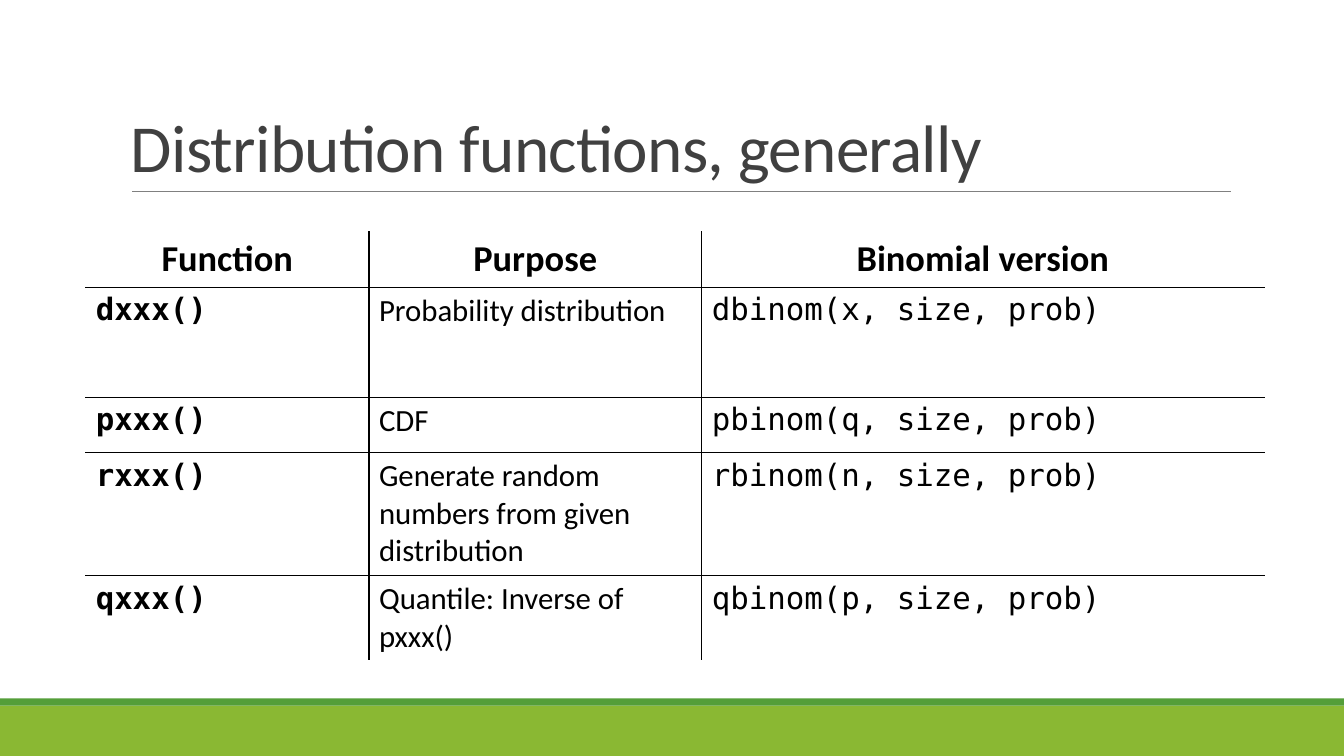
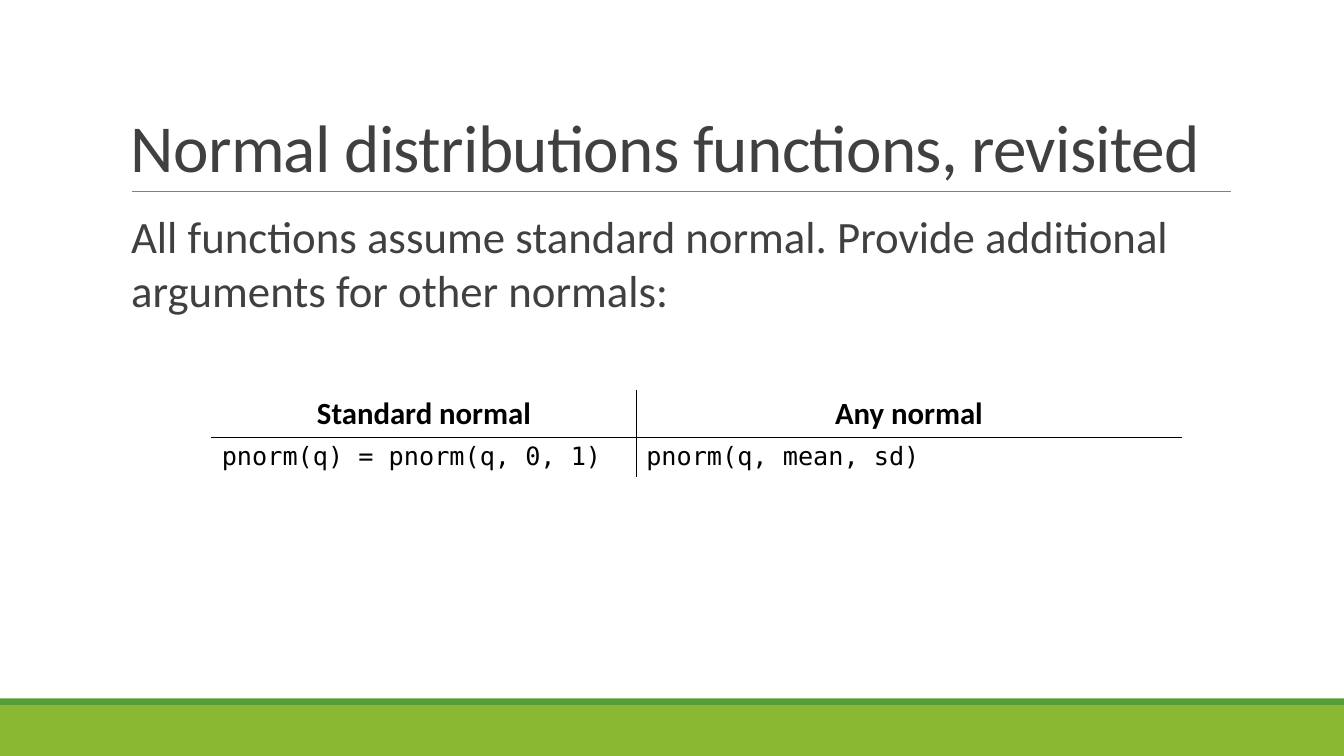
from lxml import etree
from pptx import Presentation
from pptx.dml.color import RGBColor
from pptx.enum import shapes, text
from pptx.oxml import ns
from pptx.util import Inches, Pt

SLIDE_WIDTH, SLIDE_HEIGHT = 13.33, 7.5
WHITE = RGBColor(0xFF, 0xFF, 0xFF)
BLACK = RGBColor(0x00, 0x00, 0x00)
CHARCOAL = RGBColor(0x40, 0x40, 0x40)
GRAY = RGBColor(0x80, 0x80, 0x80)
LIME = RGBColor(0x8A, 0xB8, 0x33)
GREEN = RGBColor(0x54, 0x9E, 0x39)

SANS, MONO = "Calibri", "DejaVu Sans Mono"
CENTER = text.PP_ALIGN.CENTER
TITLE_BOX = (1.2, 0.31, 11, 1.59)
BODY_BOX = (1.2, 2.02, 11, 1.3)


def sub(parent, tag, **attributes):
    return etree.SubElement(parent, ns.qn(tag), attributes)


def write(frame, words, size, color=BLACK, font=SANS, bold=False,
          align=None, line_spacing=None, tracking=None):
    """Fill the first paragraph of a text frame with one formatted run."""
    paragraph = frame.paragraphs[0]
    paragraph.alignment = align
    paragraph.line_spacing = line_spacing
    run = paragraph.add_run()
    run.text = words
    run.font.name, run.font.size, run.font.bold = font, Pt(size), bold
    run.font.color.rgb = color
    if tracking is not None:
        run.font._element.set("spc", str(round(tracking * 100)))
    return paragraph


def add_text(slide, box, words, anchor=text.MSO_ANCHOR.TOP, side_inset=0.1, **style):
    frame = slide.shapes.add_textbox(*map(Inches, box)).text_frame
    frame.word_wrap = True
    frame.vertical_anchor = anchor
    frame.margin_left = frame.margin_right = Inches(side_inset)
    return write(frame, words, **style)


def add_band(slide, top, height, color):
    band = slide.shapes.add_shape(shapes.MSO_SHAPE.RECTANGLE, 0, Inches(top),
                                  Inches(SLIDE_WIDTH), Inches(height))
    band.shadow.inherit = False
    band.fill.solid()
    band.fill.fore_color.rgb = color
    band.line.fill.background()


def add_title(slide, box, words):
    """Place the title at the foot of its box, above a thin rule."""
    left, top, width, height = box
    bottom = Inches(top + height)
    rule = slide.shapes.add_connector(shapes.MSO_CONNECTOR.STRAIGHT, Inches(left + 0.11),
                                      bottom, Inches(left + width + 0.01), bottom)
    rule.line.color.rgb = GRAY
    rule.line.width = Pt(0.5)
    sub(rule._element.spPr, "a:effectLst")
    add_text(slide, box, words, anchor=text.MSO_ANCHOR.BOTTOM, size=48,
             color=CHARCOAL, line_spacing=0.85, tracking=-0.5)


def start_slide(deck, title):
    slide = deck.slides.add_slide(deck.slide_layouts[6])
    add_band(slide, 7, 0.5, LIME)
    add_band(slide, 6.93, 0.07, GREEN)
    add_title(slide, TITLE_BOX, title)
    return slide


def add_body(slide, box, words):
    """Place body text with a hanging indent and a blank bullet."""
    paragraph = add_text(slide, box, words, side_inset=0, size=32, color=CHARCOAL)
    properties = paragraph._p.get_or_add_pPr()
    indent = Inches(0.1)
    properties.set("marL", str(indent))
    properties.set("indent", str(-indent))
    sub(properties, "a:buFont", typeface=SANS)
    sub(properties, "a:buChar", char=" ")


def set_borders(cell, **colors):
    """Set 1 pt cell borders; schema order is L, R, T, B."""
    properties = cell._tc.get_or_add_tcPr()
    for side in "LRTB":
        line = sub(properties, f"a:ln{side}", w=str(Pt(1)))
        sub(sub(line, "a:solidFill"), "a:srgbClr", val=str(colors[side]))


def add_ruled_table(slide, left, top, widths, heights, rows, header_size, column_styles):
    """Add a table with black rules between its cells and none around it."""
    table = slide.shapes.add_table(len(rows), len(widths), Inches(left), Inches(top),
                                   Inches(sum(widths)), Inches(sum(heights))).table
    table.horz_banding = table.first_row = False
    for column, width in zip(table.columns, widths):
        column.width = Inches(width)
    for row, height in zip(table.rows, heights):
        row.height = Inches(height)

    last_row, last_column = len(rows) - 1, len(widths) - 1
    header_style = dict(size=header_size, bold=True, align=CENTER)
    for r, row in enumerate(rows):
        for c, words in enumerate(row):
            cell = table.cell(r, c)
            set_borders(cell,
                        L=BLACK if c > 0 else WHITE,
                        R=BLACK if c < last_column else WHITE,
                        T=BLACK if r > 0 else WHITE,
                        B=BLACK if r < last_row else WHITE)
            cell.fill.background()
            write(cell.text_frame, words, **(column_styles[c] if r else header_style))


def build_distribution_slide(deck):
    slide = start_slide(deck, "Distribution functions, generally")
    rows = [
        ("Function", "Purpose", "Binomial version"),
        ("dxxx()", "Probability distribution", "dbinom(x, size, prob)"),
        ("pxxx()", "CDF", "pbinom(q, size, prob)"),
        ("rxxx()", "Generate random numbers from given distribution",
         "rbinom(n, size, prob)"),
        ("qxxx()", "Quantile: Inverse of pxxx()", "qbinom(p, size, prob)"),
    ]
    add_ruled_table(slide, 0.85, 2.3, [2.81, 3.3, 5.58], [0.55, 1.09, 0.55, 1.22, 0.84],
                    rows, header_size=26,
                    column_styles=[dict(size=22, font=MONO, bold=True),
                                   dict(size=22),
                                   dict(size=22, font=MONO)])


def build_normal_slide(deck):
    slide = start_slide(deck, "Normal distributions functions, revisited")
    add_body(slide, BODY_BOX, "All functions assume standard normal. "
                              "Provide additional arguments for other normals:")
    rows = [
        ("Standard normal", "Any normal"),
        ("pnorm(q) = pnorm(q, 0, 1)", "pnorm(q, mean, sd)"),
    ]
    add_ruled_table(slide, 2.1, 3.87, [4.21, 5.41], [0.47, 0.39], rows, header_size=22,
                    column_styles=[dict(size=18, font=MONO)] * 2)


def main():
    deck = Presentation()
    deck.slide_width, deck.slide_height = Inches(SLIDE_WIDTH), Inches(SLIDE_HEIGHT)
    build_distribution_slide(deck)
    build_normal_slide(deck)
    deck.save("out.pptx")


if __name__ == "__main__":
    main()
